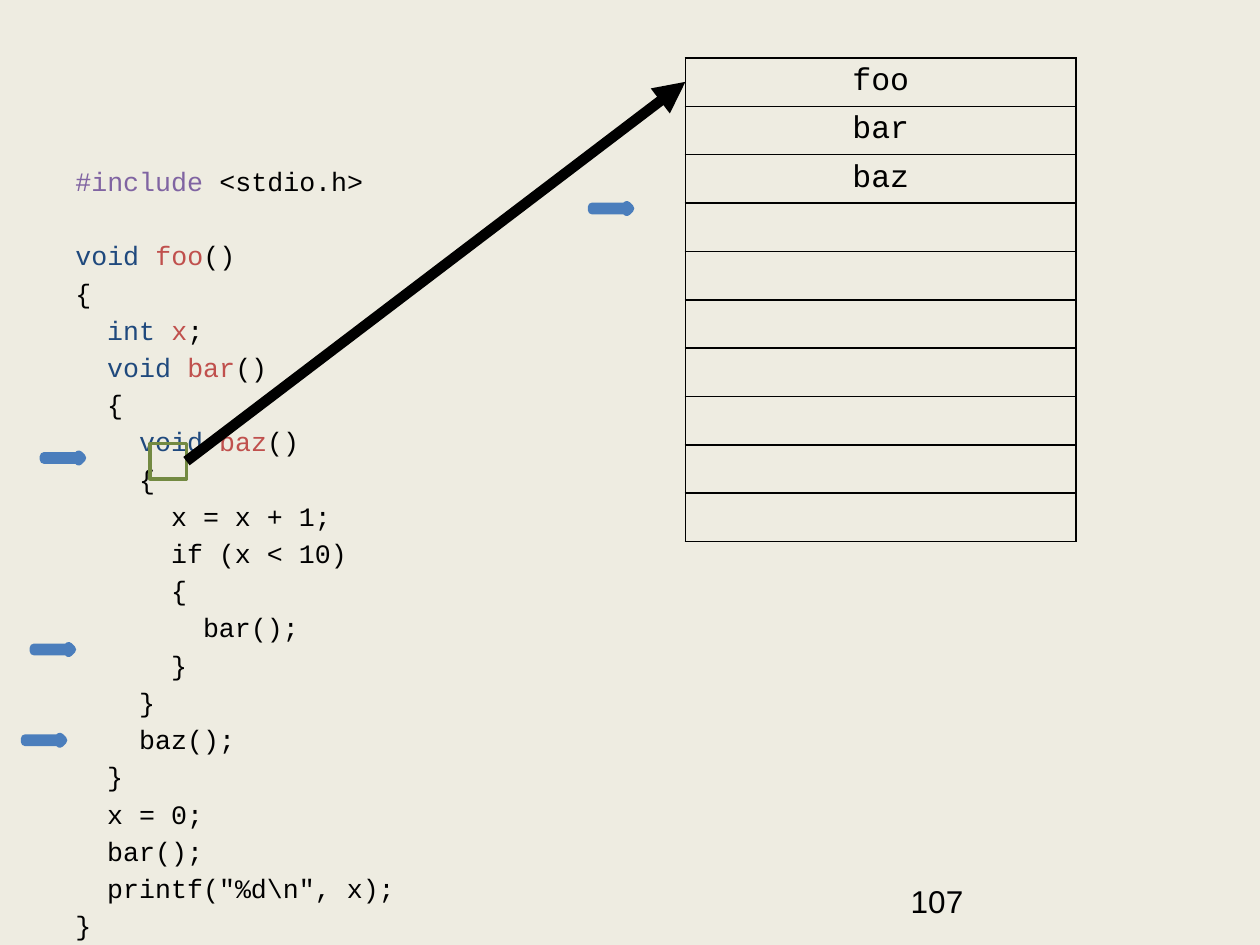
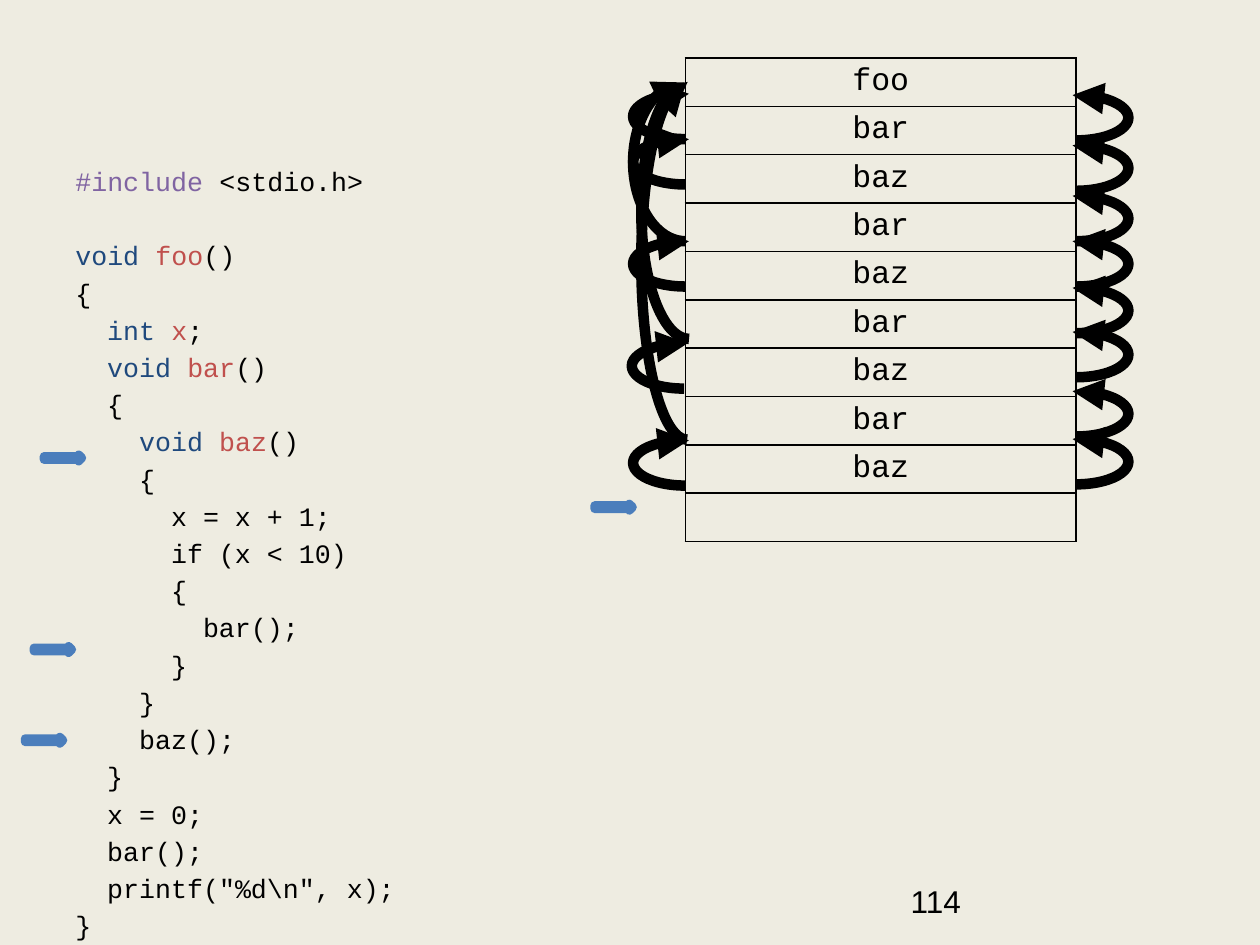
from lxml import etree
from pptx import Presentation
from pptx.dml.color import RGBColor
from pptx.enum import shapes, text
from pptx.oxml.ns import qn
from pptx.util import Inches, Pt

BLACK, PURPLE, BLUE, RED = "000000", "8064A2", "1F497D", "C0504D"
MONO, SANS = "Courier New", "Arial"
CODE_SIZE = 15.2
CODE_GAP = 0.2 * CODE_SIZE  # space above each line of code
CODE_LINE = 1.2 * CODE_SIZE  # height of a line of code
INDENT = Pt(2 * 0.6 * CODE_SIZE)  # two characters of the fixed-width font


def rgb(value):
    """Turn a hex string into a colour."""
    return RGBColor.from_string(value)


def style_arrow(sp):
    """Give a line or arc a thick black stroke that ends in a triangle."""
    sp.line.color.rgb = rgb(BLACK)
    sp.line.width = Pt(6)
    spPr = sp._element.spPr
    etree.SubElement(spPr.find(qn("a:ln")), qn("a:tailEnd"), type="triangle")
    if spPr.find(qn("a:effectLst")) is None:
        etree.SubElement(spPr, qn("a:effectLst"))


# Code listing: indent level, then runs of (text, colour)
CODE = [
    (0, [("#include ", PURPLE), ("<stdio.h>", BLACK)]),
    (0, [("void ", BLUE), ("foo", RED), ("()", BLACK)]),
    (0, [("{", BLACK)]),
    (1, [("int ", BLUE), ("x", RED), (";", BLACK)]),
    (1, [("void ", BLUE), ("bar", RED), ("()", BLACK)]),
    (1, [("{", BLACK)]),
    (2, [("void ", BLUE), ("baz", RED), ("()", BLACK)]),
    (2, [("{", BLACK)]),
    (3, [("x = x + 1;", BLACK)]),
    (3, [("if (x < 10)", BLACK)]),
    (3, [("{", BLACK)]),
    (4, [("bar();", BLACK)]),
    (3, [("}", BLACK)]),
    (2, [("}", BLACK)]),
    (2, [("baz();", BLACK)]),
    (1, [("}", BLACK)]),
    (1, [("x = 0;", BLACK)]),
    (1, [("bar();", BLACK)]),
    (1, [('printf("%d\\n", x);', BLACK)]),
    (0, [("}", BLACK)]),
]
ROWS, ROW_HEIGHT = 10, 0.384
CODE_MARKERS = [(0.2, 5.85), (0.27, 5.13), (0.35, 3.61)]

# Slide number, stack frames, position of the stack pointer
STATES = [
    ("107", ["foo", "bar", "baz"], (4.7, 1.63)),
    ("114", ["foo"] + ["bar", "baz"] * 4, (4.72, 4)),
]

prs = Presentation()
prs.slide_width, prs.slide_height = Inches(10), Inches(7.5)
fill = prs.slide_master.background.fill
fill.solid()
fill.fore_color.rgb = rgb("EEECE1")

slides = []
for number, frames, pointer in STATES:
    s = prs.slides.add_slide(prs.slide_layouts[6])
    slides.append(s)

    # Source code
    tf = s.shapes.add_textbox(Inches(0.5), Inches(1.26), Inches(9), Inches(5.44)).text_frame
    tf.word_wrap = True
    for i, (level, runs) in enumerate(CODE):
        p = tf.paragraphs[0] if i == 0 else tf.add_paragraph()
        # One line stays free after the include
        p.space_before = Pt(CODE_LINE + 2 * CODE_GAP if i == 1 else CODE_GAP)
        p._p.get_or_add_pPr().set("marL", str(level * INDENT))
        for content, colour in runs:
            r = p.add_run()
            r.text = content
            r.font.name, r.font.size = MONO, Pt(CODE_SIZE)
            r.font.color.rgb = rgb(colour)

    # Slide number
    tf = s.shapes.add_textbox(Inches(7.13), Inches(6.95), Inches(2.33), Inches(0.4)).text_frame
    tf.word_wrap = True
    r = tf.paragraphs[0].add_run()
    r.text = number
    r.font.name, r.font.size = SANS, Pt(18)
    r.font.color.rgb = rgb(BLACK)

    # Call stack
    table = s.shapes.add_table(ROWS, 1, Inches(5.44), Inches(0.46),
                               Inches(3.1), Inches(ROWS * ROW_HEIGHT)).table
    table.first_row = table.horz_banding = False
    for i in range(ROWS):
        table.rows[i].height = Inches(ROW_HEIGHT)
        cell = table.cell(i, 0)
        cell.margin_top = cell.margin_bottom = 0
        cell.vertical_anchor = text.MSO_ANCHOR.MIDDLE
        cell.fill.background()
        tcPr = cell._tc.get_or_add_tcPr()
        for k, side in enumerate(["lnL", "lnR", "lnT", "lnB"]):
            ln = etree.Element(qn("a:" + side), w=str(Pt(1)))
            solid = etree.SubElement(ln, qn("a:solidFill"))
            etree.SubElement(solid, qn("a:srgbClr"), val=BLACK)
            tcPr.insert(k, ln)
        if i < len(frames):
            p = cell.text_frame.paragraphs[0]
            p.alignment = text.PP_ALIGN.CENTER
            r = p.add_run()
            r.text = frames[i]
            r.font.name, r.font.size = MONO, Pt(18)
            r.font.color.rgb = rgb(BLACK)

    # Stack pointer and code markers
    for x, y in [pointer] + CODE_MARKERS:
        sp = s.shapes.add_shape(shapes.MSO_SHAPE.RIGHT_ARROW, Inches(x), Inches(y),
                                Inches(0.3), Inches(0.05))
        sp.shadow.inherit = False
        sp.fill.gradient()
        sp.fill.gradient_angle = 90
        for stop, colour in zip(sp.fill.gradient_stops, ["3F80CE", "A4C4FF"]):
            stop.color.rgb = rgb(colour)
        sp.line.color.rgb = rgb("4B7EBC")
        sp.line.width = Pt(5)

# Slide 1: the variable in use refers to the frame of foo
s = slides[0]
sp = s.shapes.add_shape(shapes.MSO_SHAPE.RECTANGLE, Inches(1.19), Inches(3.52),
                        Inches(0.29), Inches(0.28))
sp.shadow.inherit = False
sp.fill.background()
sp.line.color.rgb = rgb("738A42")
sp.line.width = Pt(2)
style_arrow(s.shapes.add_connector(shapes.MSO_CONNECTOR.STRAIGHT, Inches(1.48), Inches(3.66),
                                   Inches(5.44), Inches(0.65)))

# Slide 2: dynamic links on the right, static links on the left
SHORT, LONG = 5.309, 215.603  # where an arc ends
dynamic_links = [(8.36, y, 0.36, 0.83, SHORT)
                 for y in (0.52, 0.92, 1.32, 1.68, 2.05, 2.4, 2.87, 3.25)]
static_links = [(5.26, y, 0.36, 0.83, SHORT) for y in (0.51, 0.87, 1.68, 3.26)]
static_links += [
    (5.25, 2.49, 0.36, 0.83, SHORT),
    (4.81, 0.87, 1.26, 0.83, LONG),
    (4.45, 1.29, 2.04, 0.76, LONG),
    (4.04, 1.71, 2.83, 0.73, LONG),
]
for links, rotation, flips in [(dynamic_links, 270, ["flipV"]),
                               (static_links, 90, ["flipH", "flipV"])]:
    for x, y, w, h, end in links:
        sp = slides[1].shapes.add_shape(shapes.MSO_SHAPE.ARC, Inches(x), Inches(y),
                                        Inches(w), Inches(h))
        sp.shadow.inherit = False
        sp.fill.background()
        sp.rotation = rotation
        sp.adjustments[0], sp.adjustments[1] = 108.032, end
        for flip in flips:
            sp._element.spPr.find(qn("a:xfrm")).set(flip, "1")
        style_arrow(sp)

prs.save("out.pptx")
